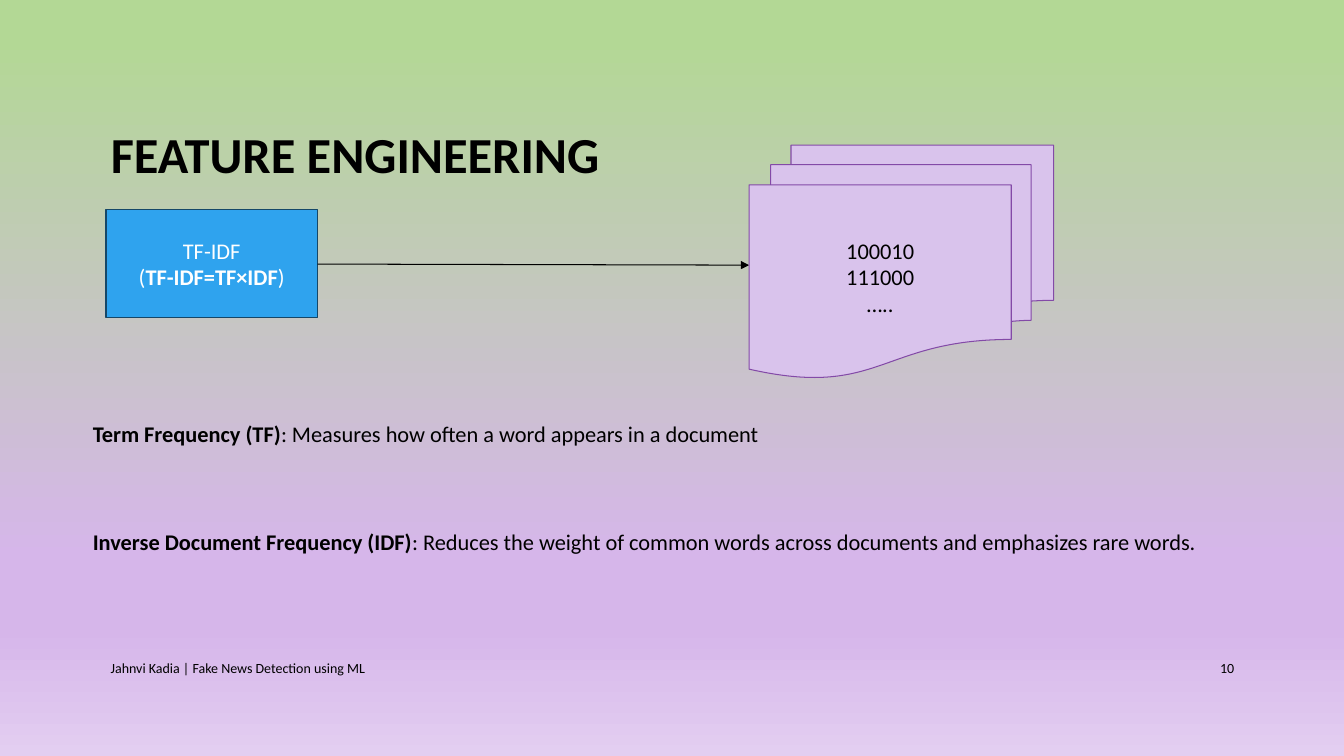
from copy import deepcopy

from lxml.etree import SubElement
from pptx import Presentation
from pptx.dml.color import RGBColor
from pptx.enum.shapes import MSO_CONNECTOR, MSO_SHAPE
from pptx.enum.text import MSO_ANCHOR, MSO_AUTO_SIZE, PP_ALIGN
from pptx.oxml.ns import qn
from pptx.util import Inches, Pt

COLORS = {
    "black": "000000",
    "white": "FFFFFF",
    "blue": "2FA3EE",
    "navy": "154768",
    "lilac": "D9C3EC",
    "purple": "834AA7",
}
BACKGROUND_STOPS = [(0.05, "B3D895"), (0.74, "D6B6EA"), (0.83, "D6B6EA"), (1, "E3CEF1")]


class SlideBuilder:
    """Hold the style and the current slide, and add its elements."""

    def __init__(self, slide, font_name="Calibri"):
        """Keep the slide and the font."""
        self.slide = slide
        self.font_name = font_name

    def color(self, name):
        """Return a named colour."""
        return RGBColor.from_string(COLORS[name])

    def background(self, stops):
        """Fill the background with a vertical gradient."""
        fill = self.slide.background.fill
        fill.gradient()
        fill.gradient_angle = 270
        stop_list = self.slide.element.find(".//" + qn("a:gsLst"))
        while len(stop_list) < len(stops):
            stop_list.append(deepcopy(stop_list[0]))
        for stop, (position, value) in zip(fill.gradient_stops, stops):
            stop.position = position
            stop.color.rgb = RGBColor.from_string(value)

    def add_text(self, shape, lines, size, color="black", align=PP_ALIGN.LEFT,
                 anchor=MSO_ANCHOR.MIDDLE, gap=0, line_spacing=1.0):
        """Put lines of (text, bold) runs into a shape."""
        frame = shape.text_frame
        frame.word_wrap = True
        frame.auto_size = MSO_AUTO_SIZE.NONE
        frame.vertical_anchor = anchor
        for index, runs in enumerate(lines):
            paragraph = frame.add_paragraph() if index else frame.paragraphs[0]
            paragraph.alignment = align
            paragraph.line_spacing = line_spacing
            paragraph.space_before = Pt(gap if index else 0)
            for text, bold in runs:
                run = paragraph.add_run()
                run.text = text
                run.font.name = self.font_name
                run.font.size = Pt(size)
                run.font.bold = bold
                run.font.color.rgb = self.color(color)

    def placeholder(self, index, box, lines, size, **style):
        """Move a placeholder and fill it with unbulleted text."""
        shape = self.slide.placeholders[index]
        shape.left, shape.top, shape.width, shape.height = map(Inches, box)
        self.add_text(shape, lines, size, **style)
        for paragraph in shape.text_frame.paragraphs:
            properties = paragraph._p.get_or_add_pPr()
            properties.set("marL", "0")
            properties.set("indent", "0")
            SubElement(properties, qn("a:buNone"))

    def text_box(self, box, lines, size, **style):
        """Add a text box."""
        shape = self.slide.shapes.add_textbox(*map(Inches, box))
        self.add_text(shape, lines, size, **style)

    def node(self, kind, box, fill, line, line_width, lines, color):
        """Add a filled and outlined shape with centred text."""
        shape = self.slide.shapes.add_shape(kind, *map(Inches, box))
        shape.shadow.inherit = False
        shape.fill.solid()
        shape.fill.fore_color.rgb = self.color(fill)
        shape.line.color.rgb = self.color(line)
        shape.line.width = Pt(line_width)
        self.add_text(shape, lines, 16, color=color, align=PP_ALIGN.CENTER)

    def arrow(self, start, end):
        """Add a thin black arrow."""
        connector = self.slide.shapes.add_connector(
            MSO_CONNECTOR.STRAIGHT, *map(Inches, start + end))
        connector.line.color.rgb = self.color("black")
        connector.line.width = Pt(0.75)
        properties = connector.element.spPr
        SubElement(properties.find(qn("a:ln")), qn("a:tailEnd"), type="triangle")
        SubElement(properties, qn("a:effectLst"))


def main():
    """Build and save the feature engineering slide."""
    presentation = Presentation()
    presentation.slide_width = Inches(13.33)
    presentation.slide_height = Inches(7.5)
    builder = SlideBuilder(presentation.slides.add_slide(presentation.slide_layouts[1]))

    builder.background(BACKGROUND_STOPS)
    builder.placeholder(0, (1, 0.68, 11.33, 1.75), [[("FEATURE ENGINEERING", True)]],
                        36, line_spacing=0.9)
    builder.node(MSO_SHAPE.RECTANGLE, (1.05, 2.08, 2.1, 1.07), "blue", "navy", 1.25,
                 [[("TF-IDF", False)],
                  [("(", False), ("TF-IDF=TF×IDF", True), (")", False)]], "white")
    builder.arrow((3.15, 2.62), (7.43, 2.63))
    builder.node(MSO_SHAPE.FLOWCHART_MULTIDOCUMENT, (7.43, 1.44, 3.02, 2.31),
                 "lilac", "purple", 0.75,
                 [[(text, False)] for text in ("100010", "111000", "…..")], "black")
    builder.placeholder(
        1, (0.82, 4.12, 11.37, 1.72),
        [[("Term Frequency (TF)", True),
          (": Measures how often a word appears in a document", False)],
         [("Inverse Document Frequency (IDF)", True),
          (": Reduces the weight of common words across documents"
           " and emphasizes rare words.", False)]],
        16, anchor=MSO_ANCHOR.TOP, gap=58)
    builder.text_box((11.5, 6.43, 0.84, 0.4), [[("10", False)]], 10, align=PP_ALIGN.RIGHT)
    builder.text_box((1, 6.43, 7.3, 0.4),
                     [[("Jahnvi Kadia | Fake News Detection using ML", False)]], 10)

    presentation.save("out.pptx")


if __name__ == "__main__":
    main()
